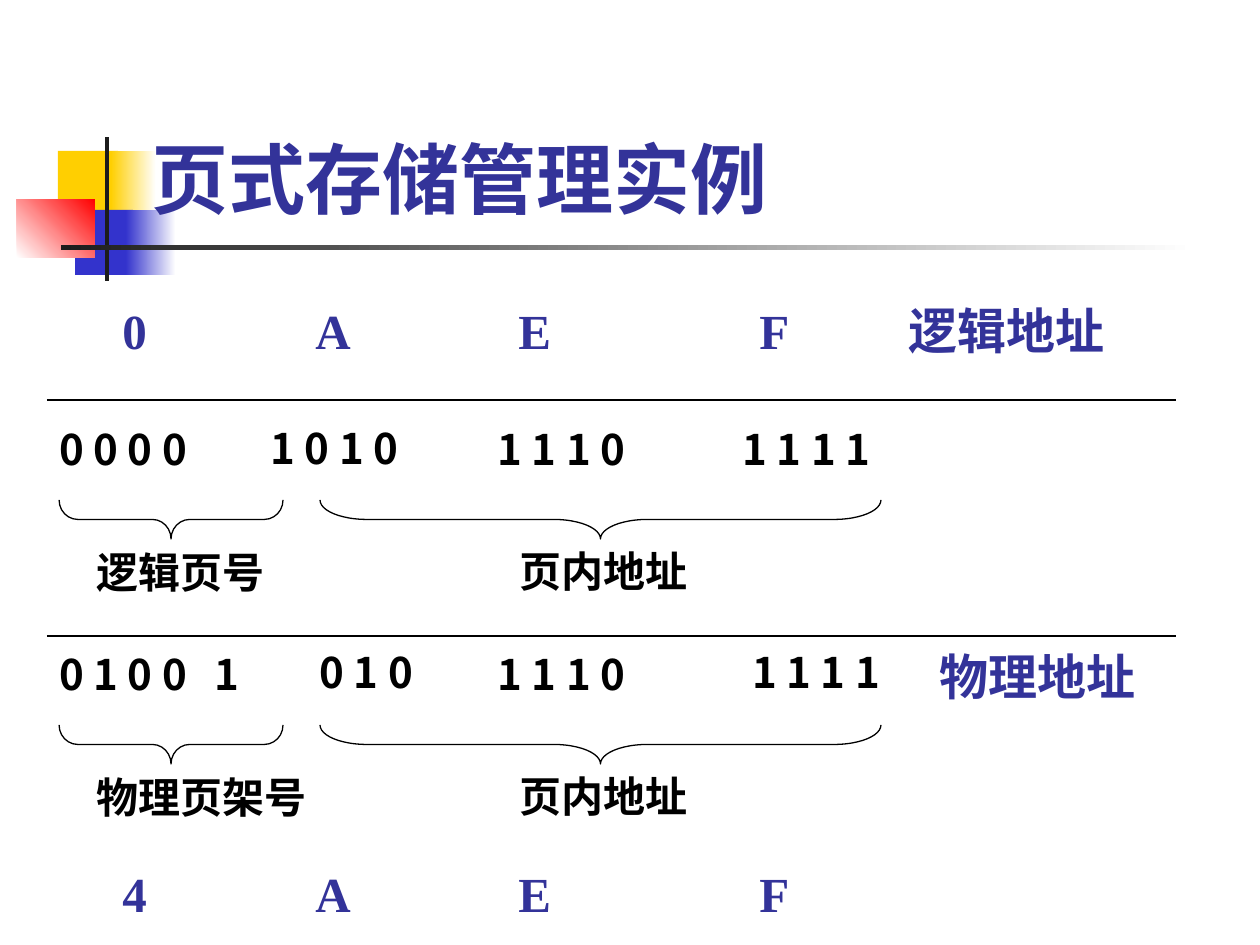
"""Build a slide that maps a logical address to a physical one by paging."""
from dataclasses import dataclass

from lxml import etree
from pptx import Presentation
from pptx import util as u
from pptx.dml.color import RGBColor
from pptx.enum import shapes, text
from pptx.oxml import ns

SCALE = 914400 // 126
INK = RGBColor(0x33, 0x33, 0x99)
BLACK = RGBColor(0x00, 0x00, 0x00)
WHITE = RGBColor(0xFF, 0xFF, 0xFF)
GOLD = RGBColor(0xFF, 0xCF, 0x01)
BLUE = RGBColor(0x33, 0x33, 0xCC)
RED = RGBColor(0xFF, 0x00, 0x00)
DARK = RGBColor(0x1C, 0x1C, 0x1C)
NOTO, ROBOTO, TIMES = "Noto Sans CJK SC", "Roboto", "Times New Roman"


@dataclass(frozen=True)
class Block:
    left: int
    top: int
    width: int
    height: int
    start: RGBColor
    end: RGBColor | None = None
    angle: int = 0


@dataclass(frozen=True)
class Label:
    words: str
    left: int
    top: int
    width: int
    height: int = 63
    size: int = 24
    font: str = NOTO
    color: RGBColor = BLACK
    tabs: tuple[int, ...] = ()
    low: bool = False


@dataclass(frozen=True)
class Brace:
    left: int
    top: int
    width: int
    depth: int = 39


def px(count: float) -> u.Emu:
    """Turn pixels into EMU."""
    return u.Emu(round(count * SCALE))


def add_block(slide, block: Block) -> None:
    """Draw a plain or shaded rectangle."""
    shape = slide.shapes.add_shape(
        shapes.MSO_SHAPE.RECTANGLE,
        px(block.left), px(block.top), px(block.width), px(block.height))
    shape.shadow.inherit = False
    shape.line.fill.background()
    if block.end is None:
        shape.fill.solid()
        shape.fill.fore_color.rgb = block.start
        return
    shape.fill.gradient()
    shape.fill.gradient_angle = block.angle
    for stop, color, place in zip(
            shape.fill.gradient_stops, (block.start, block.end), (0, 1)):
        stop.color.rgb = color
        stop.position = place


def add_label(slide, label: Label) -> None:
    """Draw one line of bold text, with tab stops where needed."""
    box = slide.shapes.add_textbox(
        px(label.left), px(label.top), px(label.width), px(label.height))
    frame = box.text_frame
    frame.word_wrap = True
    frame.margin_top = frame.margin_bottom = 0
    if label.low:
        frame.vertical_anchor = text.MSO_ANCHOR.BOTTOM
    para = frame.paragraphs[0]
    if label.tabs:
        stops = etree.SubElement(para._p.get_or_add_pPr(), ns.qn("a:tabLst"))
        for tab in label.tabs:
            etree.SubElement(stops, ns.qn("a:tab"), pos=str(px(tab)), algn="l")
    run = para.add_run()
    run.text = label.words
    run.font.size = u.Pt(label.size)
    run.font.bold = True
    run.font.color.rgb = label.color
    run.font.name = label.font
    east = etree.SubElement(run._r.get_or_add_rPr(), ns.qn("a:ea"))
    east.set("typeface", NOTO)


def add_brace(slide, brace: Brace) -> None:
    """Draw a brace that points down."""
    gap = (brace.width - brace.depth) / 2
    shape = slide.shapes.add_shape(
        shapes.MSO_SHAPE.RIGHT_BRACE,
        px(brace.left + gap), px(brace.top - gap),
        px(brace.depth), px(brace.width))
    shape.rotation = 90
    shape.adjustments[0] = brace.width / 12 / brace.depth
    shape.shadow.inherit = False
    shape.fill.background()
    shape.line.color.rgb = BLACK
    shape.line.width = u.Pt(0.74)


def add_rule(slide, left: int, right: int, top: int) -> None:
    """Draw a level line."""
    line = slide.shapes.add_connector(
        shapes.MSO_CONNECTOR.STRAIGHT, px(left), px(top), px(right), px(top))
    line.line.color.rgb = BLACK
    line.line.width = u.Pt(0.74)
    etree.SubElement(line._element.spPr, ns.qn("a:effectLst"))


BLOCKS = (
    Block(58, 151, 60, 66, GOLD),
    Block(111, 151, 45, 66, GOLD, WHITE),
    Block(75, 210, 58, 65, BLUE),
    Block(126, 210, 50, 65, BLUE, WHITE),
    Block(17, 199, 78, 59, WHITE, RED, 45),
    Block(105, 137, 4, 144, DARK),
    Block(61, 245, 1134, 5, DARK, WHITE),
)
HEX_TABS = (193, 396, 637, 786)
LABELS = (
    Label("页式存储管理实例", 139, 146, 1070, 78, 44, ROBOTO, INK, low=True),
    Label("0\tA\tE\tF\t逻辑地址", 110, 300, 1091, 83, 28, TIMES, INK, HEX_TABS),
    Label("0 0 0 0", 47, 424, 183),
    Label("1 0 1 0", 258, 423, 183),
    Label("1 1 1 0", 485, 424, 183),
    Label("1 1 1 1", 730, 424, 183),
    Label("逻辑页号", 84, 547, 227),
    Label("页内地址", 507, 546, 227),
    Label("0 1 0 0\t1", 47, 649, 261, tabs=(155,)),
    Label("0 1 0", 307, 647, 132),
    Label("1 1 1 0", 485, 649, 183),
    Label("1 1 1 1", 740, 647, 183),
    Label("物理地址", 927, 647, 272, 72, 28, ROBOTO, INK),
    Label("物理页架号", 84, 772, 273),
    Label("页内地址", 507, 771, 227),
    Label("4\tA\tE\tF", 110, 863, 1091, 70, 28, TIMES, INK, HEX_TABS),
)
BRACES = [Brace(left, top, width) for top in (500, 725)
          for left, width in ((59, 224), (320, 561))]


def main() -> None:
    """Build and save the slide."""
    deck = Presentation()
    deck.slide_width, deck.slide_height = px(1260), px(945)
    slide = deck.slides.add_slide(deck.slide_layouts[6])
    for block in BLOCKS:
        add_block(slide, block)
    for top in (400, 636):
        add_rule(slide, 47, 1176, top)
    for brace in BRACES:
        add_brace(slide, brace)
    for label in LABELS:
        add_label(slide, label)
    deck.save("out.pptx")


main()
